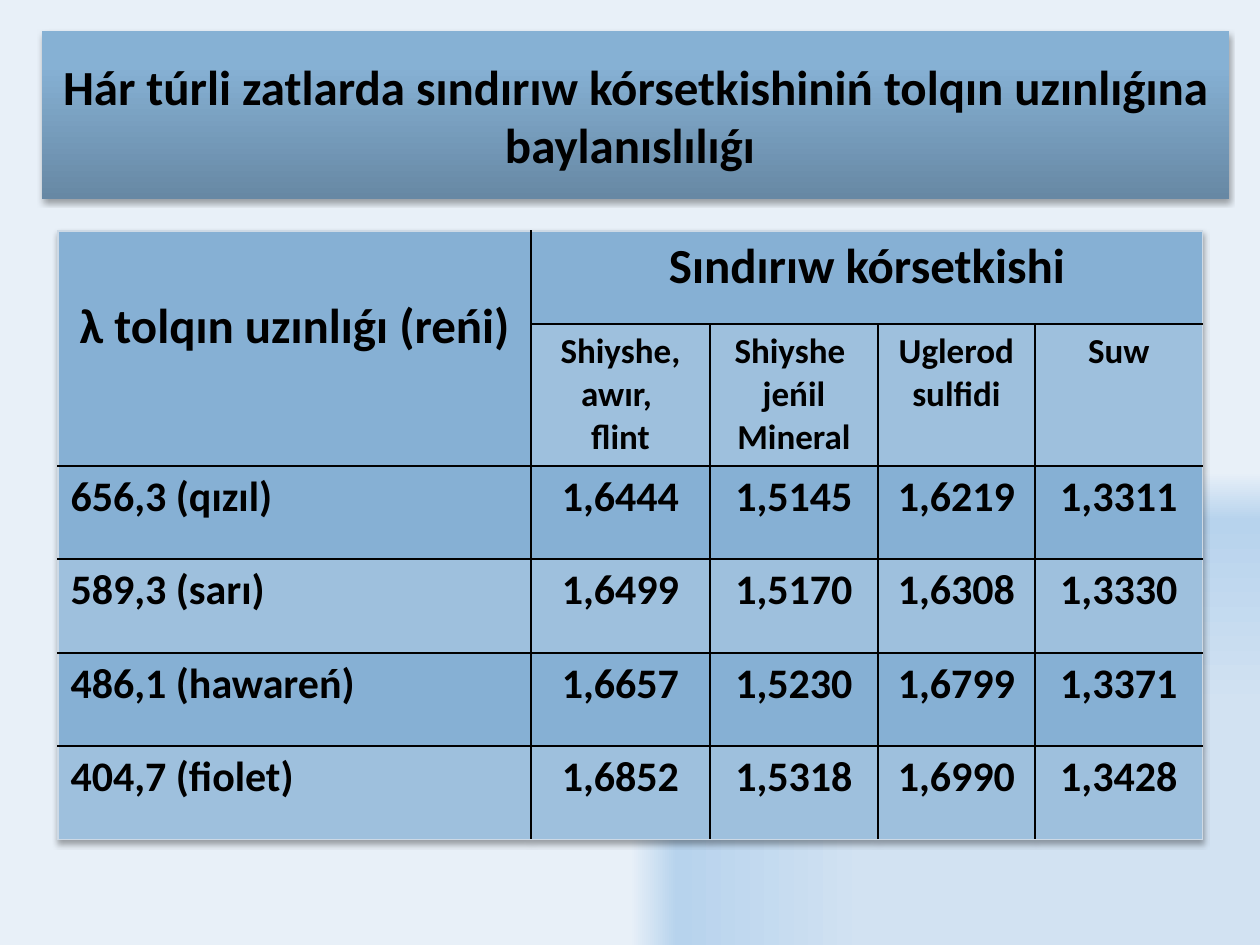
"""Build a slide with a table of refractive indices by wavelength."""
import dataclasses

import lxml.etree
import pptx
import pptx.dml.color
import pptx.enum.text
import pptx.oxml
import pptx.oxml.ns
import pptx.util

EMU_PER_PX = 914400 / 126
FONT = "Calibri"
COLORS = {
    "text": "000000", "dark": "86B0D4", "light": "9EC0DD", "grid": "000000", "edge": "CDD9E5",
    "shadow": "000000",
}
PAGE_STOPS = [(50, "D2E2F2"), (90, "B7D3ED"), (100, "E8F0F8")]
TITLE_STOPS = [(0, "6788A4"), (80, "86B1D4"), (100, "86B2D7")]
PAGE_PATH = '<a:path path="rect"><a:fillToRect l="100000" t="100000"/></a:path>'
TITLE_ANGLE = '<a:lin ang="16200000" scaled="0"/>'
NO_STYLE = "{2D5ABB26-0587-4C30-8999-92F81FD0307C}"
COLUMNS = (473, 179, 168, 157, 168)
ROWS = (93, 142, 93, 94, 93, 94)
CENTER = pptx.enum.text.PP_ALIGN.CENTER
LEFT = pptx.enum.text.PP_ALIGN.LEFT
TITLE = "Hár túrli zatlarda sındırıw kórsetkishiniń tolqın uzınlıǵına baylanıslılıǵı "
MATERIALS = ("Shiyshe, awır, \nflint", "Shiyshe \njeńil\nMineral", "Uglerod\nsulfidi", "Suw")
READINGS = [
    ("656,3 (qızıl)", "1,6444", "1,5145", "1,6219", "1,3311"),
    ("589,3 (sarı)", "1,6499", "1,5170", "1,6308", "1,3330"),
    ("486,1 (hawareń)", "1,6657", "1,5230", "1,6799", "1,3371"),
    ("404,7 (fiolet)", "1,6852", "1,5318", "1,6990", "1,3428"),
]


@dataclasses.dataclass(frozen=True)
class Entry:
    """One table cell with its place, text and span."""
    row: int
    column: int
    text: str
    size: int
    align: pptx.enum.text.PP_ALIGN = CENTER
    row_span: int = 1
    column_span: int = 1
    top: int = 6


def px(length: int) -> pptx.util.Emu:
    """Turn pixels into EMU."""
    return pptx.util.Emu(round(length * EMU_PER_PX))


def element(tag: str, inner: str, attributes: str = "") -> lxml.etree._Element:
    """Make one DrawingML element."""
    namespace = pptx.oxml.ns.nsdecls("a")
    return pptx.oxml.parse_xml(f"<a:{tag} {namespace} {attributes}>{inner}</a:{tag}>")


def paint_gradient(parent: lxml.etree._Element, stops: list[tuple[int, str]], shade: str) -> None:
    """Replace the solid fill of a parent element with a gradient."""
    marks = "".join(
        f'<a:gs pos="{place * 1000}"><a:srgbClr val="{color}"/></a:gs>' for place, color in stops
    )
    gradient = element("gradFill", f"<a:gsLst>{marks}</a:gsLst>{shade}", 'rotWithShape="1"')
    parent.replace(parent.find(pptx.oxml.ns.qn("a:solidFill")), gradient)


def shadow() -> lxml.etree._Element:
    """Make the soft shadow shared by the title and the table."""
    return element(
        "effectLst",
        '<a:outerShdw blurRad="40000" dist="23000" dir="5400000" rotWithShape="0">'
        f'<a:srgbClr val="{COLORS["shadow"]}"><a:alpha val="35000"/></a:srgbClr></a:outerShdw>',
    )


def write(frame: pptx.text.text.TextFrame, text: str, *, size: int,
          align: pptx.enum.text.PP_ALIGN = CENTER) -> None:
    """Fill a text frame with bold paragraphs, one for each line."""
    frame.word_wrap = True
    frame.text = text
    for para in frame.paragraphs:
        para.alignment = align
        for span in para.runs:
            span.font.name = FONT
            span.font.size = pptx.util.Pt(size)
            span.font.bold = True
            span.font.color.rgb = pptx.dml.color.RGBColor.from_string(COLORS["text"])


def add_borders(cell: pptx.table._Cell, entry: Entry) -> None:
    """Draw black inner lines and pale outer lines around a cell."""
    outer = {
        "lnL": entry.column == 0,
        "lnR": entry.column + entry.column_span == len(COLUMNS),
        "lnT": entry.row == 0,
        "lnB": entry.row + entry.row_span == len(ROWS),
    }
    properties = cell._tc.get_or_add_tcPr()
    for tag, is_outer in outer.items():
        color, width = (COLORS["edge"], 9525) if is_outer else (COLORS["grid"], 12700)
        fill = f'<a:solidFill><a:srgbClr val="{color}"/></a:solidFill>'
        properties.append(element(tag, fill, f'w="{width}"'))


def draw_entry(table: pptx.table.Table, entry: Entry) -> None:
    """Write and format one table cell."""
    cell = table.cell(entry.row, entry.column)
    if entry.row_span > 1 or entry.column_span > 1:
        cell.merge(table.cell(entry.row + entry.row_span - 1, entry.column + entry.column_span - 1))
    cell.margin_top = px(entry.top)
    write(cell.text_frame, entry.text, size=entry.size, align=entry.align)
    add_borders(cell, entry)
    cell.fill.solid()
    shade = COLORS["light" if entry.row % 2 else "dark"]
    cell.fill.fore_color.rgb = pptx.dml.color.RGBColor.from_string(shade)


def draw_table(page: pptx.slide.Slide) -> None:
    """Add the table of refractive indices."""
    frame = page.shapes.add_table(
        len(ROWS), len(COLUMNS), px(58), px(231), px(sum(COLUMNS)), px(sum(ROWS)))
    table = frame.table
    properties = table._tbl.tblPr
    properties.find(pptx.oxml.ns.qn("a:tableStyleId")).text = NO_STYLE
    properties.insert(0, shadow())
    for column, width in zip(table.columns, COLUMNS):
        column.width = px(width)
    for row, height in zip(table.rows, ROWS):
        row.height = px(height)
    entries = [
        Entry(0, 0, "λ tolqın uzınlıǵı (reńi)", 28, row_span=2, top=66),
        Entry(0, 1, "Sındırıw kórsetkishi", 28, column_span=4),
    ]
    entries += [Entry(1, column, name, 20) for column, name in enumerate(MATERIALS, 1)]
    entries += [
        Entry(row, column, text, 24, CENTER if column else LEFT)
        for row, reading in enumerate(READINGS, 2)
        for column, text in enumerate(reading)
    ]
    for entry in entries:
        draw_entry(table, entry)


def draw_title(page: pptx.slide.Slide) -> None:
    """Shape the title placeholder as a rounded gradient banner."""
    title = page.shapes.title
    title.left, title.top, title.width, title.height = px(42), px(31), px(1187), px(168)
    properties = title._element.spPr
    properties.append(element("prstGeom", "<a:avLst/>", 'prst="roundRect"'))
    title.fill.solid()
    paint_gradient(properties, TITLE_STOPS, TITLE_ANGLE)
    properties.append(shadow())
    frame = title.text_frame
    frame.auto_size = pptx.enum.text.MSO_AUTO_SIZE.NONE
    frame.vertical_anchor = pptx.enum.text.MSO_ANCHOR.MIDDLE
    frame.margin_left = frame.margin_right = px(6)
    write(frame, TITLE, size=28)


def main() -> None:
    """Build and save the deck."""
    deck = pptx.Presentation()
    deck.slide_width, deck.slide_height = px(1260), px(945)
    page = deck.slides.add_slide(deck.slide_layouts[5])
    page.background.fill.solid()
    paint_gradient(page._element.cSld.bg.bgPr, PAGE_STOPS, PAGE_PATH)
    draw_table(page)
    draw_title(page)
    deck.save("out.pptx")


if __name__ == "__main__":
    main()
